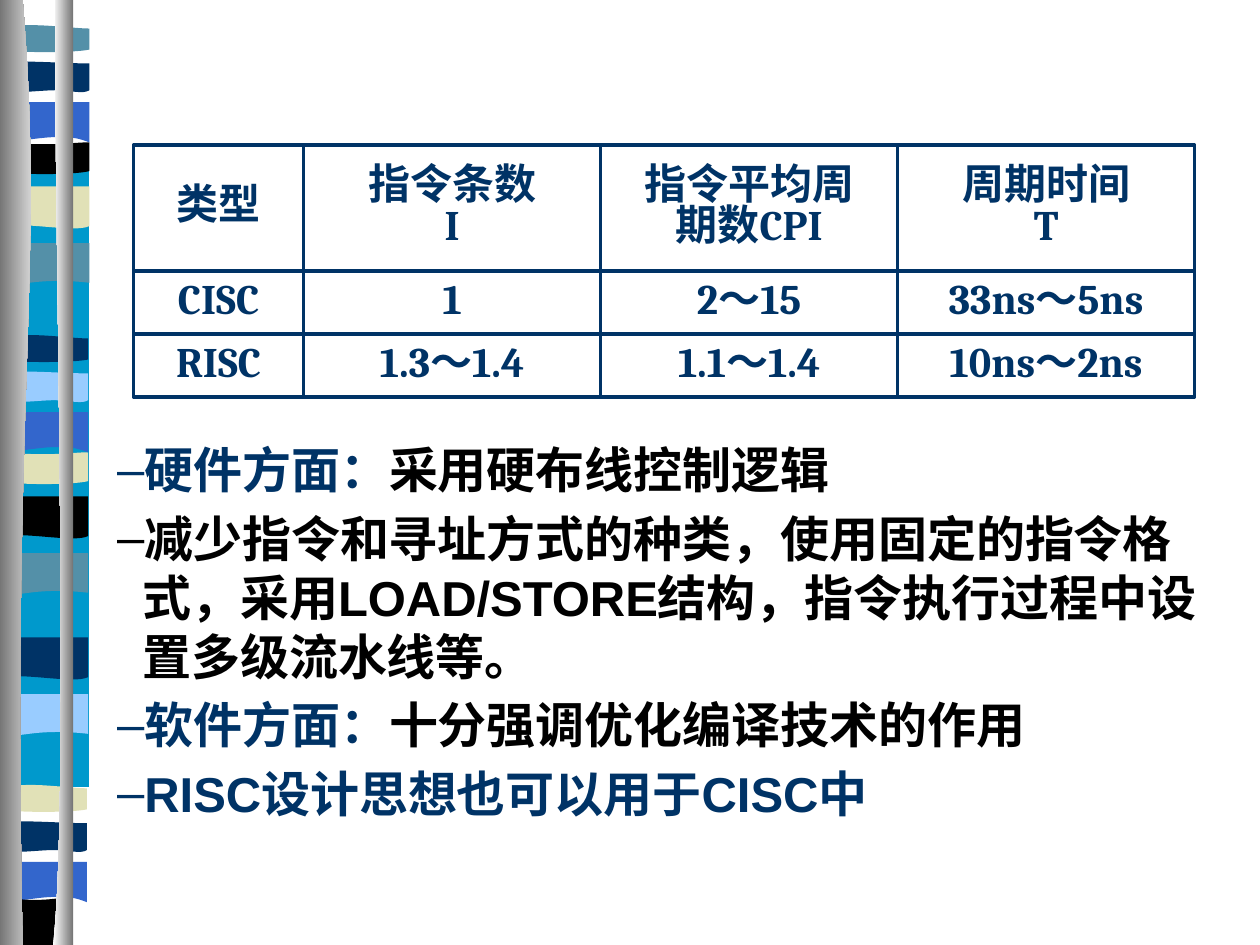
"""Build a slide that compares CISC and RISC beside a striped side band."""
from itertools import chain
from lxml.etree import SubElement
from pptx import Presentation
from pptx.dml.color import RGBColor
from pptx.enum.shapes import MSO_SHAPE
from pptx.enum.text import MSO_ANCHOR, MSO_AUTO_SIZE, PP_ALIGN
from pptx.oxml.ns import qn
from pptx.util import Inches, Pt

HUE = {"navy": "003366", "cyan": "0099CC", "teal": "5490A8", "sand": "E1E1B7",
       "blue": "3366CC", "sky": "99CCFF", "black": "000000", "white": "FFFFFF",
       "grey": "767676"}
RGB = {name: RGBColor.from_string(code) for name, code in HUE.items()}

deck = Presentation()
deck.slide_width, deck.slide_height = Inches(10), Inches(7.5)
col, row = deck.slide_width // 100, deck.slide_height // 75
slide = deck.slides.add_slide(deck.slide_layouts[1])
title = slide.shapes.title.element
title.getparent().remove(title)


def draw(edges, left, top, wide, high):
    """Draw joined edges, each a start and then cubic triples or one line end."""
    parts = [part for edge in edges
             for part in [edge[:1]] + [edge[i:i + 3] for i in range(1, len(edge), 3)]]
    spots = [(round((left + x * wide) * col), round((top + y * high) * row))
             for x, y in chain(*parts)]
    pen = slide.shapes.build_freeform(*spots[0])
    pen.add_line_segments(spots[1:], close=True)
    shape = pen.convert_to_shape()
    lines = iter(list(shape.element.iter(qn("a:lnTo"))))
    for part in parts[1:]:
        first, *rest = [next(lines) for _ in part]
        if rest:
            first.tag = qn("a:cubicBezTo")
        for line in rest:
            first.append(line[0])
            line.getparent().remove(line)
    shape.line.fill.background()
    shape.shadow.inherit = False
    return shape.fill


flat = [(0, 0), (1, 0)]
bowl = [(1, .88), (.84, 1), (.16, 1), (0, .88)]
brim = [(0, 0), (.62, .13), (.8, 0), (1, 0)]
kinds = {
    "lens": (2, 2.2, [(0, .14), (.07, 0), (.22, 0), (.38, 0),
                      (.56, 0), (.87, .12), (1, .12)], bowl),
    "ribbon": (4.7, 2.8, [(0, .12), (.15, 0), (.69, .12), (1, .12)],
               [(1, .88), (.93, 1), (.78, .88), (.62, .88),
                (.45, .88), (.11, 1), (0, .88)]),
    "arch": (8.1, 3.2, flat, [(1, 1), (.85, .87), (.78, .87), (.62, .87),
                              (.45, .87), (.16, 1), (0, 1)]),
    "cup": (11.3, 2.6, brim, bowl),
    "flag": (14.8, 3.7, flat, [(1, .85), (.84, 1), (.31, .76), (0, .85)]),
    "wave": (19.3, 3.7, flat, [(1, .85), (.35, .71), (.16, 1), (0, .85)]),
}
sets = [
    (0, 7.1, {"wave": "teal", "flag": "sand", "lens": "teal",
              "cup": "black", "arch": "blue", "ribbon": "navy"}),
    (24.6, 7, {"wave": "teal", "flag": "black", "lens": "navy",
               "cup": "sand", "arch": "blue", "ribbon": "sky"}),
    (35.8, 7, {"wave": "sky", "flag": "navy"}),
    (60.3, 6.9, {"lens": "sand", "arch": "blue", "ribbon": "navy"}),
]
base = [(1, 1), (0, 1)]
fills = [(draw([flat, base], 0, 12.2, 7.05, 50.3), "cyan")]
for shift, wide, bands in sets:
    for kind, hue in bands.items():
        top, high, *edges = kinds[kind]
        fills.append((draw(edges, 0, top + shift, wide, high), hue))
fills.append((draw([brim, base], 0, 71.2, 5.7, 3.8), "black"))
for fill, hue in fills:
    fill.solid()
    fill.fore_color.rgb = RGB[hue]

poles = [
    ([[(0, 0)], [(1.8, 0), (3.6, .29), (.9, .4), (1.8, 1)], [(0, 1)]],
     ("grey", "white")),
    ([[(4.4, 0), (4.2, .17), (5.6, .86), (4.2, 1)], [(5.8, 1)], [(5.8, 0)]],
     ("white", "grey")),
]
for edges, hues in poles:
    fill = draw(edges, 0, 0, 1, 75)
    fill.gradient()
    fill.gradient_angle = 0
    for stop, hue, place in zip(fill.gradient_stops, hues, (0, 1)):
        stop.color.rgb = RGB[hue]
        stop.position = place

points = [
    [("硬件方面：", "navy"), ("采用硬布线控制逻辑", "black")],
    [("减少指令和寻址方式的种类，使用固定的指令格式，采用LOAD/STORE结构，"
      "指令执行过程中设置多级流水线等。", "black")],
    [("软件方面：", "navy"), ("十分强调优化编译技术的作用", "black")],
    [("RISC设计思想也可以用于CISC中", "navy")],
]
body = slide.placeholders[1]
place = {"left": 8.3 * col, "top": 34.4 * row, "width": 87.7 * col, "height": 34.6 * row}
for key, value in place.items():
    setattr(body, key, round(value))
text = body.text_frame
text.word_wrap, text.auto_size = True, MSO_AUTO_SIZE.NONE
look = {"name": "Arial", "size": Pt(28), "bold": True}
for i, runs in enumerate(points):
    para = text.add_paragraph() if i else text.paragraphs[0]
    props = para._p.get_or_add_pPr()
    props.set("marL", str(2 * col))
    props.set("indent", str(-2 * col))
    SubElement(props, qn("a:buChar"), char="–")
    para.space_before = Pt(5.6 if i else 0)
    for words, hue in runs:
        run = para.add_run()
        run.text = words
        run.font.color.rgb = RGB[hue]
        for key, value in look.items():
            setattr(run.font, key, value)

cells = [
    ["类型", "指令条数\vI", "指令平均周\v期数CPI", "周期时间\vT"],
    ["CISC", "1", "2～15", "33ns～5ns"],
    ["RISC", "1.3～1.4", "1.1～1.4", "10ns～2ns"],
]
wides, highs = [13.5, 23.57, 23.57, 23.57], [10, 5, 5]
pad = round(.4 * col)
frame = {"vertical_anchor": MSO_ANCHOR.MIDDLE, "word_wrap": False,
         "margin_left": pad, "margin_right": pad,
         "margin_top": pad, "margin_bottom": pad}
look = {"name": "Cambria", "size": Pt(24), "bold": True}
for r, line in enumerate(cells):
    for c, words in enumerate(line):
        spot = (10.6 + sum(wides[:c])) * col, (11.5 + sum(highs[:r])) * row
        size = wides[c] * col, highs[r] * row
        cell = slide.shapes.add_shape(MSO_SHAPE.RECTANGLE, *map(round, spot + size))
        cell.shadow.inherit = False
        cell.fill.background()
        cell.line.color.rgb, cell.line.width = RGB["navy"], Pt(2)
        for key, value in frame.items():
            setattr(cell.text_frame, key, value)
        para = cell.text_frame.paragraphs[0]
        para.text = words
        para.alignment, para.line_spacing = PP_ALIGN.CENTER, .8
        for run in para.runs:
            run.font.color.rgb = RGB["navy"]
            for key, value in look.items():
                setattr(run.font, key, value)

deck.save("out.pptx")
